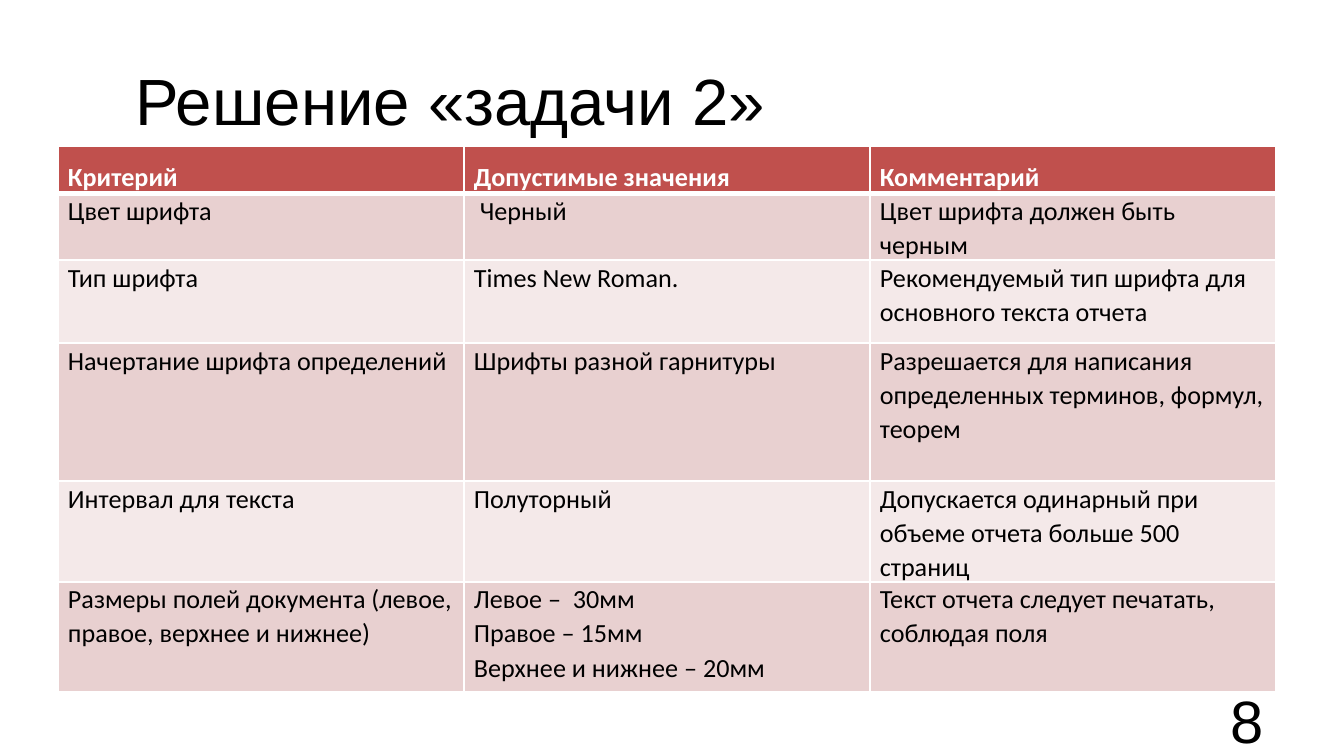
import dataclasses
import typing

import lxml.etree
import pptx
import pptx.dml.color
import pptx.enum.text
import pptx.oxml.ns
import pptx.util

PX = pptx.util.Inches(10) / 1344


def px(length: int) -> pptx.util.Emu:
    return pptx.util.Emu(round(length * PX))


@dataclasses.dataclass(frozen=True)
class Theme:
    heading_font: str = "Arial"
    table_font: str = "Calibri"
    title_size: int = 35
    number_size: int = 32
    table_size: int = 14
    text: str = "000000"
    white: str = "FFFFFF"
    header: str = "C0504D"
    bands: tuple[str, str] = ("E8D0D0", "F4E9E9")
    thin: int = 1
    thick: int = 3


@dataclasses.dataclass(frozen=True)
class Label:
    text: str
    left: int
    top: int
    width: int
    height: int
    size: int
    align: pptx.enum.text.PP_ALIGN


@dataclasses.dataclass(frozen=True)
class Row:
    height: int
    criterion: str
    values: str
    comment: str


THEME = Theme()
ALIGN = pptx.enum.text.PP_ALIGN
LABELS = [
    Label("Решение «задачи 2»", 122, 54, 1199, 91, THEME.title_size, ALIGN.LEFT),
    Label("8", 964, 700, 313, 40, THEME.number_size, ALIGN.RIGHT),
]
ROWS = [
    Row(44, "Критерий", "Допустимые значения", "Комментарий"),
    Row(55, "Цвет шрифта", " Черный", "Цвет шрифта должен быть черным"),
    Row(83, "Тип шрифта", "Times New Roman.",
        "Рекомендуемый тип шрифта для основного текста отчета"),
    Row(138, "Начертание шрифта определений", "Шрифты разной гарнитуры",
        "Разрешается для написания определенных терминов, формул, теорем"),
    Row(83, "Интервал для текста", "Полуторный",
        "Допускается одинарный при объеме отчета больше 500 страниц"),
    Row(110, "Размеры полей документа (левое, правое, верхнее и нижнее)",
        "Левое –  30мм\nПравое – 15мм\nВерхнее и нижнее – 20мм",
        "Текст отчета следует печатать, соблюдая поля"),
]
TABLE_LEFT, TABLE_TOP, COLUMN_WIDTH = 58, 146, 406


def apply(target: typing.Any, values: dict[str, typing.Any]) -> None:
    for name, value in values.items():
        setattr(target, name, value)


def style_span(span: typing.Any, font: str, size: int, color: str, bold: bool = False) -> None:
    apply(span.font, {"name": font, "size": pptx.util.Pt(size), "bold": bold})
    span.font.color.rgb = pptx.dml.color.RGBColor.from_string(color)


def draw_label(page: typing.Any, label: Label) -> None:
    box = page.shapes.add_textbox(*map(px, (label.left, label.top, label.width, label.height)))
    frame = box.text_frame
    apply(frame, {"word_wrap": True, "vertical_anchor": pptx.enum.text.MSO_ANCHOR.MIDDLE})
    para = frame.paragraphs[0]
    para.alignment = label.align
    span = para.add_run()
    span.text = label.text
    style_span(span, THEME.heading_font, label.size, THEME.text)


def draw_borders(cell: typing.Any, widths: dict[str, int]) -> None:
    qn = pptx.oxml.ns.qn
    properties = cell._tc.get_or_add_tcPr()
    for side, width in widths.items():
        line = lxml.etree.SubElement(properties, qn(f"a:ln{side}"), w=str(pptx.util.Pt(width)))
        fill = lxml.etree.SubElement(line, qn("a:solidFill"))
        lxml.etree.SubElement(fill, qn("a:srgbClr"), val=THEME.white)


def draw_cell(cell: typing.Any, text: str, index: int) -> None:
    header = index == 0
    apply(cell, {"margin_left": px(10), "margin_right": px(10),
                 "margin_top": 0, "margin_bottom": 0})
    draw_borders(cell, {
        "L": THEME.thin,
        "R": THEME.thin,
        "T": THEME.thick if index == 1 else THEME.thin,
        "B": THEME.thick if header else THEME.thin,
    })
    cell.fill.solid()
    color = THEME.header if header else THEME.bands[(index - 1) % 2]
    cell.fill.fore_color.rgb = pptx.dml.color.RGBColor.from_string(color)
    cell.text = text
    for para in cell.text_frame.paragraphs:
        para.line_spacing = 1.5 if header else 1.07
        for span in para.runs:
            style_span(span, THEME.table_font, THEME.table_size,
                       THEME.white if header else THEME.text, header)


def draw_table(page: typing.Any, rows: list[Row]) -> None:
    height = sum(row.height for row in rows)
    table = page.shapes.add_table(len(rows), 3, px(TABLE_LEFT), px(TABLE_TOP),
                                  px(3 * COLUMN_WIDTH), px(height)).table
    for column in table.columns:
        column.width = px(COLUMN_WIDTH)
    for index, row in enumerate(rows):
        table.rows[index].height = px(row.height)
        for column, text in enumerate((row.criterion, row.values, row.comment)):
            draw_cell(table.cell(index, column), text, index)


def main() -> None:
    deck = pptx.Presentation()
    apply(deck, {"slide_width": px(1344), "slide_height": px(756)})
    page = deck.slides.add_slide(deck.slide_layouts[6])
    for label in LABELS:
        draw_label(page, label)
    draw_table(page, ROWS)
    deck.save("out.pptx")


if __name__ == "__main__":
    main()
